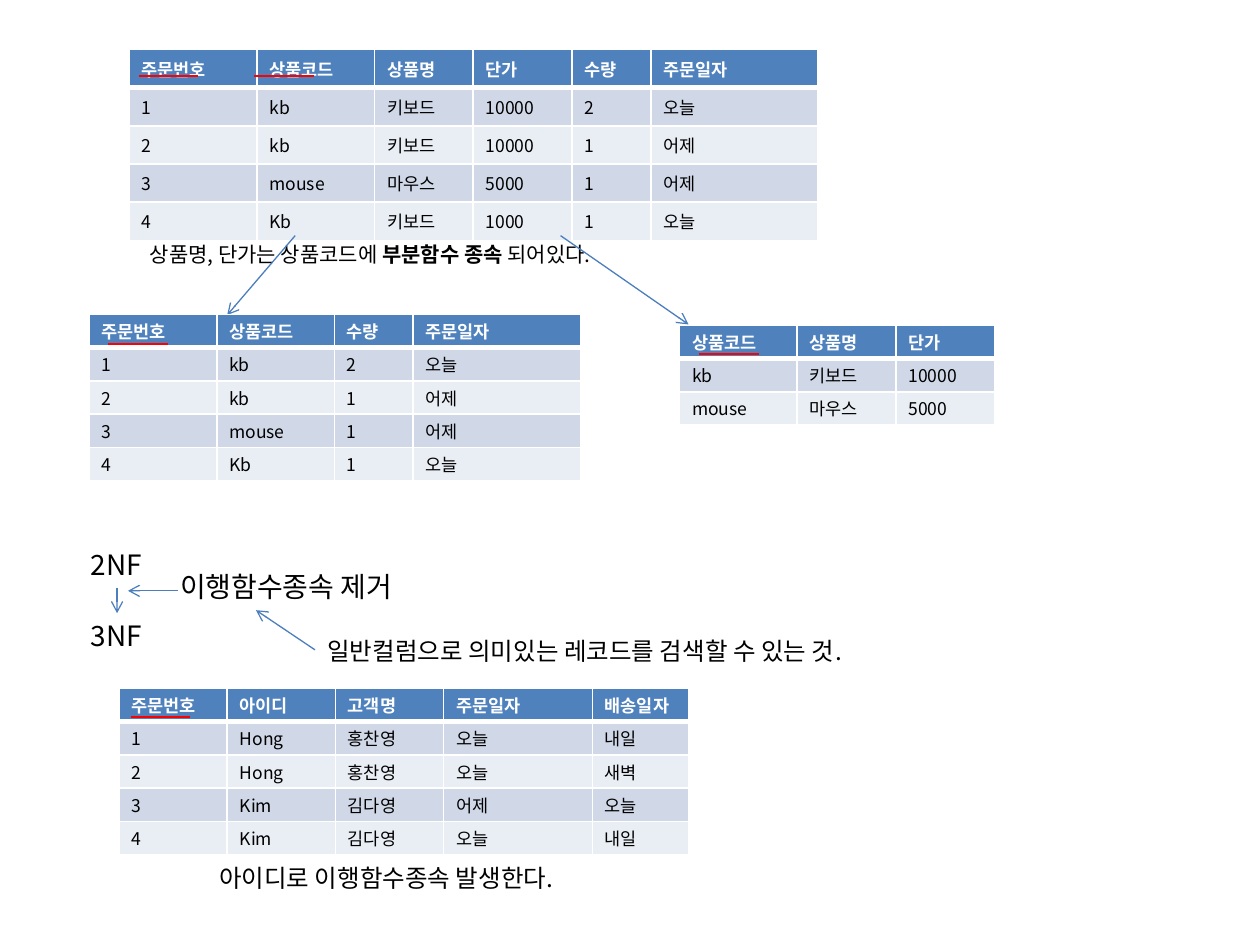
from dataclasses import dataclass
from pptx import Presentation as Deck
from pptx.dml.color import RGBColor as Rgb
from pptx.enum.shapes import MSO_CONNECTOR as Link
from pptx.enum.text import MSO_AUTO_SIZE as Fit
from pptx.oxml.ns import qn
from pptx.util import Cm, Pt
from lxml.etree import SubElement as Sub


@dataclass
class Theme:
    font: str = "Noto Sans CJK KR"
    head: str = "4F81BD"
    bands: tuple = ("D0D8E8", "E9EDF4")
    white: str = "FFFFFF"
    ink: str = "000000"
    key: str = "FF0000"
    arrow: str = "4B7EBC"
    cell: int = 10
    note: int = 12
    body: int = 14
    large: int = 16


class Board:
    """Draws tables, notes and lines on one slide in a single style."""

    def __init__(self, slide, theme):
        self.slide, self.theme = slide, theme

    def style(self, run, size, color, bold=False):
        font = run.font
        font.name, font.size, font.bold = self.theme.font, Pt(size), bold
        font.color.rgb = Rgb.from_string(color)
        Sub(run._r.get_or_add_rPr(), qn("a:ea"), typeface=self.theme.font)

    def border(self, cell, head):
        props = cell._tc.get_or_add_tcPr()
        for at, side in enumerate(("lnL", "lnR", "lnT", "lnB")):
            width = Pt(3) if head and side == "lnB" else Pt(1)
            line = Sub(props, qn("a:" + side), w=str(width))
            fill = Sub(line, qn("a:solidFill"))
            Sub(fill, qn("a:srgbClr"), val=self.theme.white)
            props.insert(at, line)

    def table(self, left, top, widths, rows, high=0.67, pad=0.08):
        look = self.theme
        grid = self.slide.shapes.add_table(
            len(rows), len(widths), Cm(left), Cm(top),
            Cm(sum(widths)), Cm(high * len(rows))).table
        for col, width in zip(grid.columns, widths):
            col.width = Cm(width)
        for i, row in enumerate(rows):
            head = i == 0
            grid.rows[i].height = Cm(high)
            for j, text in enumerate(row):
                cell = grid.cell(i, j)
                cell.margin_top = cell.margin_bottom = Cm(pad)
                cell.text_frame.text = text
                self.style(cell.text_frame.paragraphs[0].runs[0], look.cell,
                           look.white if head else look.ink, head)
                cell.fill.solid()
                tint = look.head if head else look.bands[(i - 1) % 2]
                cell.fill.fore_color.rgb = Rgb.from_string(tint)
                self.border(cell, head)

    def text(self, left, top, width, high, size, *parts, bold=None):
        frame = self.slide.shapes.add_textbox(
            Cm(left), Cm(top), Cm(width), Cm(high)).text_frame
        frame.word_wrap = False
        frame.auto_size = Fit.SHAPE_TO_FIT_TEXT
        for i, part in enumerate(parts):
            run = frame.paragraphs[0].add_run()
            run.text = part
            self.style(run, size, self.theme.ink, i == bold)

    def line(self, start, end, color, width):
        link = self.slide.shapes.add_connector(
            Link.STRAIGHT, *(Cm(n) for n in (*start, *end)))
        link.line.color.rgb = Rgb.from_string(color)
        link.line.width = Pt(width)
        Sub(link._element.spPr, qn("a:effectLst"))
        return link

    def mark(self, left, top):
        self.line((left, top), (left + 1.2, top), self.theme.key, 1.25)

    def arrow(self, start, end):
        link = self.line(start, end, self.theme.arrow, 0.75)
        Sub(link.line._get_or_add_ln(), qn("a:tailEnd"), type="arrow")


deck = Deck()
deck.slide_width, deck.slide_height = Cm(25.4), Cm(19.05)
look = Theme()
board = Board(deck.slides.add_slide(deck.slide_layouts[6]), look)

orders = [
    ("주문번호", "상품코드", "상품명", "단가", "수량", "주문일자"),
    ("1", "kb", "키보드", "10000", "2", "오늘"),
    ("2", "kb", "키보드", "10000", "1", "어제"),
    ("3", "mouse", "마우스", "5000", "1", "어제"),
    ("4", "Kb", "키보드", "1000", "1", "오늘"),
]
goods = [
    ("상품코드", "상품명", "단가"),
    ("kb", "키보드", "10000"),
    ("mouse", "마우스", "5000"),
]
ships = [
    ("주문번호", "아이디", "고객명", "주문일자", "배송일자"),
    ("1", "Hong", "홍찬영", "오늘", "내일"),
    ("2", "Hong", "홍찬영", "오늘", "새벽"),
    ("3", "Kim", "김다영", "어제", "오늘"),
    ("4", "Kim", "김다영", "오늘", "내일"),
]
wide = [2.58, 2.37, 1.99, 1.99, 1.59, 3.37]

board.table(2.6, 1, wide, orders, 0.76, 0.13)
board.mark(2.8, 1.54)
board.mark(5.13, 1.53)
board.text(2.77, 4.75, 10.44, 0.76, look.note,
           "상품명, 단가는 상품코드에 ", "부분함수 종속", " 되어있다.", bold=1)
board.arrow((5.95, 4.75), (4.58, 6.35))
board.arrow((11.3, 4.75), (13.88, 6.54))

board.table(1.79, 6.34, wide[:2] + wide[4:],
            [row[:2] + row[4:] for row in orders])
board.table(13.7, 6.56, wide[1:4], goods)
board.mark(2.18, 6.94)
board.mark(14.1, 7.14)

for top, form in ((10.92, "2NF"), (12.35, "3NF")):
    board.text(1.58, top, 1.55, 0.94, look.large, form)
board.arrow((2.36, 11.86), (2.36, 12.36))
board.arrow((3.58, 11.91), (2.58, 11.91))
board.text(3.38, 11.36, 5.28, 0.94, look.large, "이행함수종속 제거")
board.arrow((6.35, 13.1), (5.16, 12.3))
board.text(6.35, 12.7, 12.04, 0.86, look.body,
           "일반컬럼으로 의미있는 레코드를 검색할 수 있는 것.")

board.table(2.4, 13.88, [2.18, 2.18, 2.18, 3, 1.95], ships)
board.mark(2.64, 14.46)
board.text(4.17, 17.27, 7.95, 0.86, look.body, "아이디로 이행함수종속 발생한다.")

deck.save("out.pptx")
